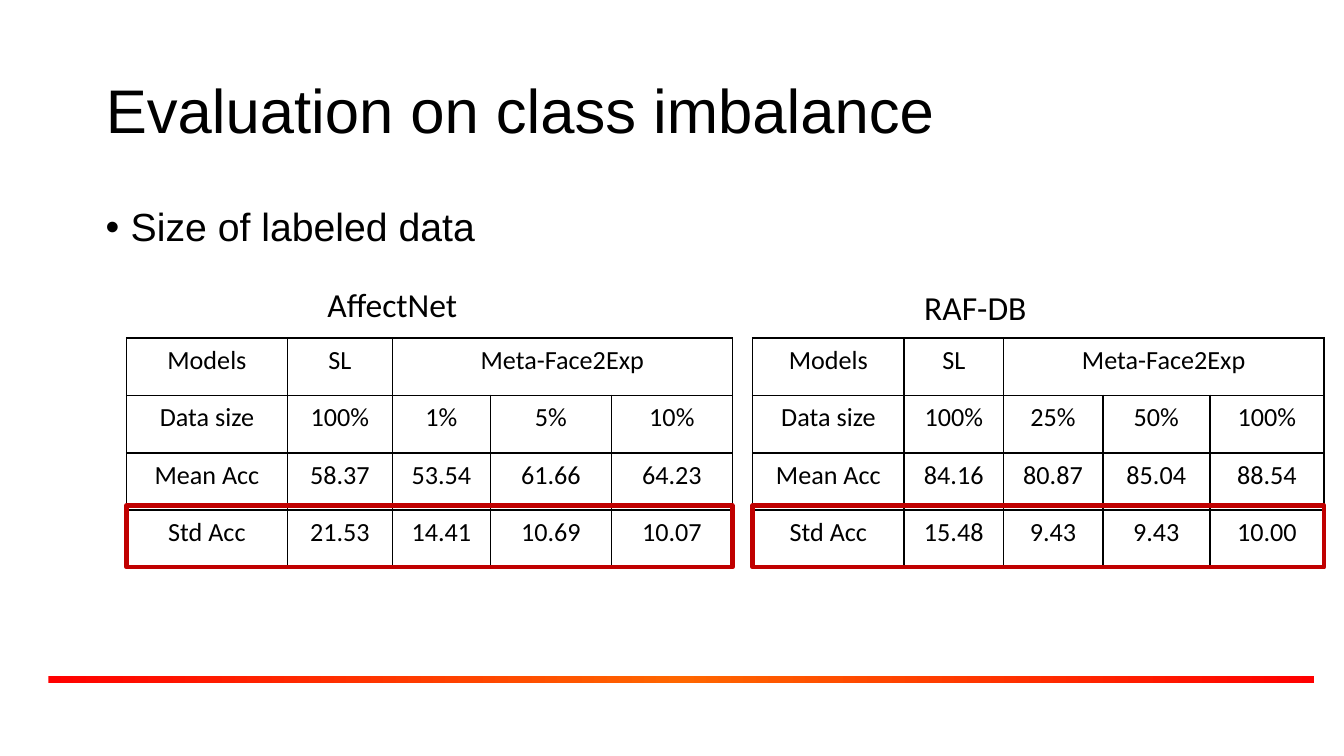
from copy import deepcopy

from lxml.etree import SubElement
from pptx import Presentation
from pptx.dml.color import RGBColor
from pptx.enum.shapes import MSO_SHAPE
from pptx.enum.text import MSO_ANCHOR as Anchor, MSO_AUTO_SIZE as AutoSize, PP_ALIGN as Align
from pptx.oxml.ns import qn
from pptx.util import Pt

BLACK, HIGHLIGHT = "000000", "C00000"
RULE_COLORS = ["FF0000", "FF6600", "FF0000"]
TABLE_TOP, ROW_HEIGHT = 181, 30.8


def rgb(hex_color):
    return RGBColor.from_string(hex_color)


def write(frame, text, size=14, font="Calibri", color=BLACK, align=Align.LEFT,
          spacing=1.0, bullet=None, indent=0):
    paragraph = frame.paragraphs[0]
    paragraph.text = text
    paragraph.alignment = align
    paragraph.line_spacing = spacing
    if bullet:
        props = paragraph._p.get_or_add_pPr()
        props.set("marL", str(Pt(indent)))
        props.set("indent", str(-Pt(indent)))
        SubElement(props, qn("a:buFont"), typeface="Arial")
        SubElement(props, qn("a:buChar"), char=bullet)
    style = paragraph.font
    style.size, style.name = Pt(size), font
    style.color.rgb = rgb(color)


class SlideBuilder:
    heading_font = "Arial"

    def __init__(self, slide):
        self.slide = slide

    def title(self, text, box):
        heading = self.slide.shapes.title
        heading.left, heading.top, heading.width, heading.height = map(Pt, box)
        frame = heading.text_frame
        frame.vertical_anchor = Anchor.MIDDLE
        frame.auto_size = AutoSize.NONE
        write(frame, text, size=33, font=self.heading_font, spacing=0.9)

    def text(self, text, box, wrap=True, **style):
        frame = self.slide.shapes.add_textbox(*map(Pt, box)).text_frame
        frame.word_wrap = wrap
        frame.auto_size = AutoSize.NONE if wrap else AutoSize.SHAPE_TO_FIT_TEXT
        write(frame, text, **style)

    def rectangle(self, box):
        shape = self.slide.shapes.add_shape(MSO_SHAPE.RECTANGLE, *map(Pt, box))
        shape.shadow.inherit = False
        return shape

    def gradient_rule(self, box, colors):
        rule = self.rectangle(box)
        rule.line.fill.background()
        rule.fill.gradient()
        rule.fill.gradient_angle = 0
        stop_list = rule.fill._xPr.find(qn("a:gradFill")).find(qn("a:gsLst"))
        stop_list.append(deepcopy(stop_list[0]))
        for i, (stop, color) in enumerate(zip(rule.fill.gradient_stops, colors)):
            stop.position = i / (len(colors) - 1)
            stop.color.rgb = rgb(color)

    def frame(self, box):
        outline = self.rectangle(box)
        outline.fill.background()
        outline.line.color.rgb = rgb(HIGHLIGHT)
        outline.line.width = Pt(2.25)

    def borders(self, cell):
        props = cell._tc.get_or_add_tcPr()
        for side in ("lnL", "lnR", "lnT", "lnB"):
            line = SubElement(props, qn(f"a:{side}"), w=str(Pt(1)))
            fill = SubElement(line, qn("a:solidFill"))
            SubElement(fill, qn("a:srgbClr"), val=BLACK)

    def table(self, rows, left, top, widths):
        grid = self.slide.shapes.add_table(
            len(rows), len(widths), Pt(left), Pt(top),
            Pt(sum(widths)), Pt(ROW_HEIGHT * len(rows))).table
        grid.first_row = grid.horz_banding = False
        for column, width in zip(grid.columns, widths):
            column.width = Pt(width)
        for r, row in enumerate(rows):
            grid.rows[r].height = Pt(ROW_HEIGHT)
            for c in range(len(widths)):
                cell = grid.cell(r, c)
                self.borders(cell)
                cell.fill.background()
                if c < len(row):
                    write(cell.text_frame, row[c], align=Align.CENTER)
            # A short row lets its last entry span the remaining columns
            if len(row) < len(widths):
                grid.cell(r, len(row) - 1).merge(grid.cell(r, len(widths) - 1))


def main():
    deck = Presentation()
    deck.slide_width, deck.slide_height = Pt(720), Pt(405)
    page = SlideBuilder(deck.slides.add_slide(deck.slide_layouts[5]))

    # Footer rule, title and bullet
    page.gradient_rule((26, 362.2, 678, 3.6), RULE_COLORS)
    page.title("Evaluation on class imbalance", (49.5, 21.6, 621, 78.3))
    page.text("Size of labeled data", (49.5, 107.8, 621, 257), size=21,
              font=page.heading_font, spacing=0.9, bullet="•", indent=13.5)

    # Results per data set: name, name position, table left, column widths, values
    results = [
        ("AffectNet", (168.3, 148.3, 85, 29), 67.8, [86.2, 56.2, 52.6, 64.8, 64.8],
         ["100%", "1%", "5%", "10%"],
         ["58.37", "53.54", "61.66", "64.23"],
         ["21.53", "14.41", "10.69", "10.07"]),
        ("RAF-DB", (488, 150, 70, 29), 403.2, [81.2, 53.2, 53.2, 57.4, 61.2],
         ["100%", "25%", "50%", "100%"],
         ["84.16", "80.87", "85.04", "88.54"],
         ["15.48", "9.43", "9.43", "10.00"]),
    ]
    for name, name_box, left, widths, sizes, means, deviations in results:
        rows = [["Models", "SL", "Meta-Face2Exp"], ["Data size", *sizes],
                ["Mean Acc", *means], ["Std Acc", *deviations]]
        page.table(rows, left, TABLE_TOP, widths)
        page.frame((left, 270.8, sum(widths), 33.2))
        page.text(name, name_box, wrap=False, size=18)

    deck.save("out.pptx")


if __name__ == "__main__":
    main()
